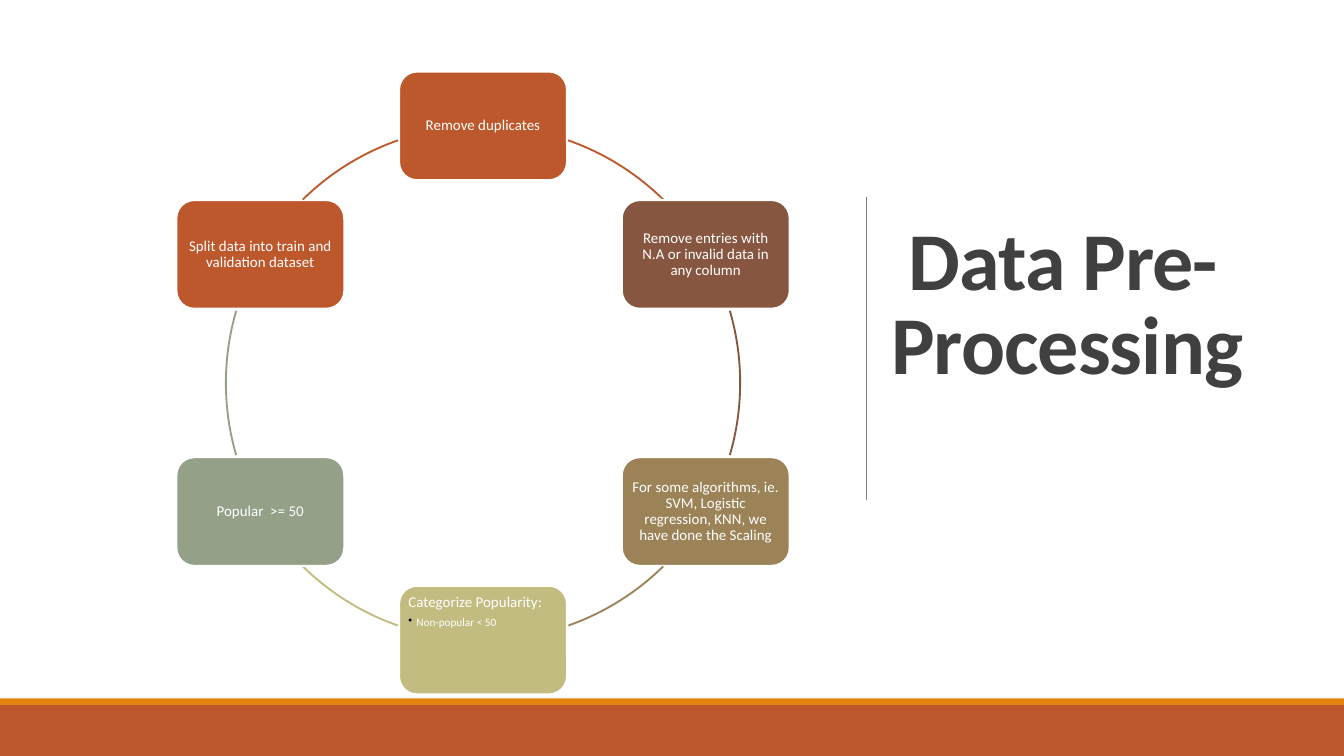
from dataclasses import dataclass
from math import cos, radians, sin

from lxml import etree
from pptx import Presentation
from pptx.dml.color import RGBColor
from pptx.enum.shapes import MSO_CONNECTOR, MSO_SHAPE
from pptx.enum.text import MSO_ANCHOR, PP_ALIGN
from pptx.oxml.ns import qn
from pptx.util import Cm, Pt

RECT, ROUND, ARC = MSO_SHAPE.RECTANGLE, MSO_SHAPE.ROUNDED_RECTANGLE, MSO_SHAPE.ARC
LINE = MSO_CONNECTOR.STRAIGHT
LEFT, MID = PP_ALIGN.LEFT, PP_ALIGN.CENTER
TOP, CENTER = MSO_ANCHOR.TOP, MSO_ANCHOR.MIDDLE


@dataclass(frozen=True)
class Theme:
    font: str = "Calibri"
    white: str = "FFFFFF"
    black: str = "000000"
    dark: str = "404040"
    rule: str = "808080"
    amber: str = "E48312"
    rust: str = "BD582C"
    brown: str = "865640"
    tan: str = "9B8357"
    khaki: str = "C2BC80"
    sage: str = "94A088"
    title: float = 44
    body: float = 8
    small: float = 6


T = Theme()

TITLE = " Data Pre-Processing"
# Clockwise from the top: text, sub-points, colour, angles of the arc that follows
STEPS = [
    ("Remove duplicates", [], T.rust, (289.3, 314.5)),
    ("Remove entries with N.A or invalid data in any column", [], T.brown, (343.7, 16.3)),
    ("For some algorithms, ie. SVM, Logistic regression, KNN, we have done the Scaling",
     [], T.tan, (45.5, 70.7)),
    ("Categorize Popularity:", ["Non-popular < 50"], T.khaki, (109.3, 134.5)),
    ("Popular  >= 50", [], T.sage, (163.7, 196.3)),
    ("Split data into train and validation dataset", [], T.rust, (225.5, 250.7)),
]
BANDS = [(13.2, 0.13, T.amber), (13.33, 0.96, T.rust)]

WIDE, HIGH = 25.4, 14.29
HUB_X, HUB_Y, RADIUS = 9.13, 7.24, 4.86
BOX_W, BOX_H = 3.18, 2.06


def rgb(code):
    return RGBColor.from_string(code)


def add_form(slide, kind, x, y, w, h, fill=None, line=None, width=1):
    form = slide.shapes.add_shape(kind, Cm(x), Cm(y), Cm(w), Cm(h))
    form.shadow.inherit = False
    if fill:
        form.fill.solid()
        form.fill.fore_color.rgb = rgb(fill)
    else:
        form.fill.background()
    if line:
        form.line.color.rgb = rgb(line)
        form.line.width = Pt(width)
    else:
        form.line.fill.background()
    return form


def set_frame(frame, anchor, side, edge):
    frame.word_wrap = True
    frame.vertical_anchor = anchor
    frame.margin_left = frame.margin_right = Cm(side)
    frame.margin_top = frame.margin_bottom = Cm(edge)


def write(para, text, size=T.body, color=T.white, bold=False, align=LEFT,
          lead=0.9, after=0, track=0):
    para.alignment = align
    para.line_spacing = lead
    para.space_after = Pt(after)
    run = para.add_run()
    run.text = text
    font = run.font
    font.name, font.size, font.bold = T.font, Pt(size), bold
    font.color.rgb = rgb(color)
    if track:
        run._r.get_or_add_rPr().set("spc", str(int(track * 100)))


def add_dot(para, indent=0.15):
    props = para._p.get_or_add_pPr()
    props.set("marL", str(Cm(indent)))
    props.set("indent", str(-Cm(indent)))
    tint = etree.SubElement(props, qn("a:buClr"))
    etree.SubElement(tint, qn("a:srgbClr")).set("val", T.black)
    etree.SubElement(props, qn("a:buChar")).set("char", "•")


def add_step(slide, place, text, points, color):
    turn = radians(60 * place - 90)
    x = HUB_X + RADIUS * cos(turn) - BOX_W / 2
    y = HUB_Y + RADIUS * sin(turn) - BOX_H / 2
    box = add_form(slide, ROUND, x, y, BOX_W, BOX_H, color, T.white, 1.25)
    frame = box.text_frame
    set_frame(frame, TOP if points else CENTER, 0.08, 0.08)
    write(frame.paragraphs[0], text, align=LEFT if points else MID,
          after=2.8 if points else 0)
    for point in points:
        para = frame.add_paragraph()
        write(para, point, size=T.small)
        add_dot(para)


def add_arc(slide, angles, color):
    arc = add_form(slide, ARC, HUB_X - RADIUS, HUB_Y - RADIUS,
                   2 * RADIUS, 2 * RADIUS, line=color)
    for i, angle in enumerate(angles):
        # Preset angles count 60000 per degree; adjustments scale by 100000
        arc.adjustments[i] = angle * 0.6


def add_title(slide):
    box = slide.shapes.add_textbox(Cm(16.59), Cm(1.32), Cm(8.43), Cm(8.97))
    set_frame(box.text_frame, CENTER, 0.25, 0.13)
    write(box.text_frame.paragraphs[0], TITLE, size=T.title, color=T.dark,
          bold=True, lead=0.85, track=-0.5)
    rule = slide.shapes.add_connector(LINE, Cm(16.37), Cm(3.73), Cm(16.37), Cm(9.45))
    rule.line.color.rgb = rgb(T.rule)
    rule.line.width = Pt(0.5)
    etree.SubElement(rule._element.spPr, qn("a:effectLst"))


def main():
    deck = Presentation()
    deck.slide_width, deck.slide_height = Cm(WIDE), Cm(HIGH)
    slide = deck.slides.add_slide(deck.slide_layouts[6])
    add_form(slide, RECT, 0, 0, WIDE, BANDS[0][0], T.white)
    add_title(slide)
    for top, depth, color in BANDS:
        add_form(slide, RECT, 0, top, WIDE, depth, color)
    for place, (text, points, color, angles) in enumerate(STEPS):
        add_step(slide, place, text, points, color)
        add_arc(slide, angles, color)
    deck.save("out.pptx")


if __name__ == "__main__":
    main()
